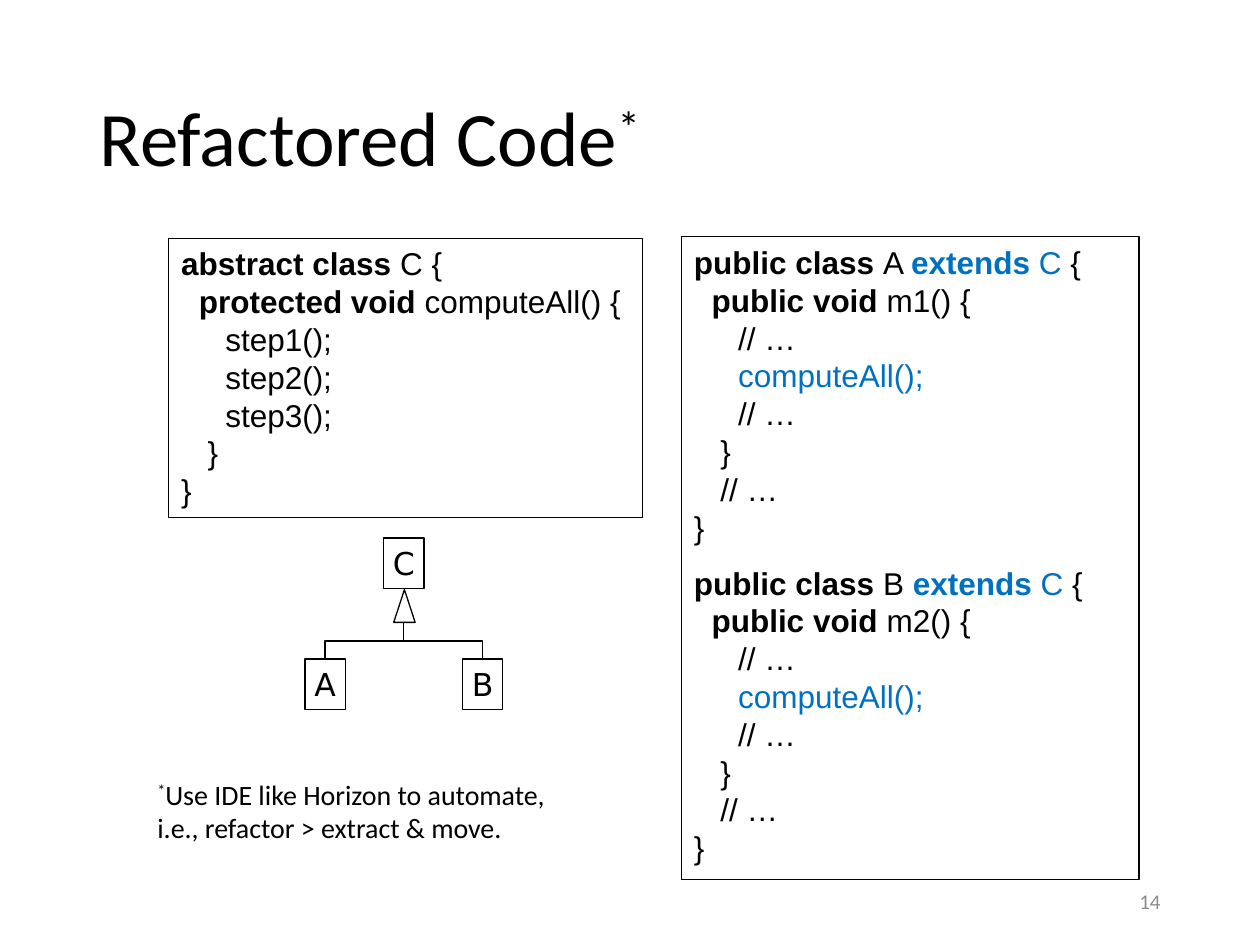
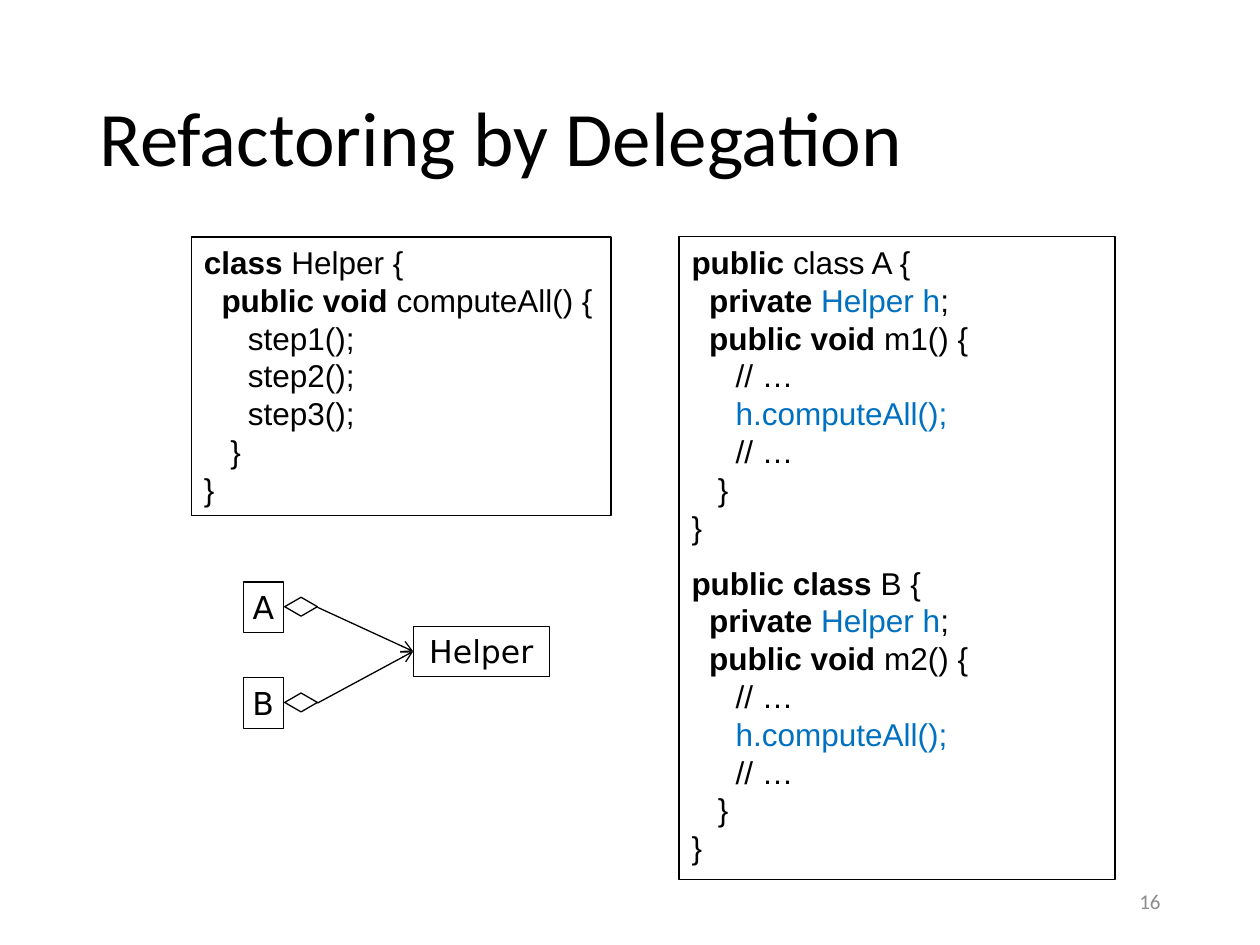
from dataclasses import dataclass

from lxml import etree
from pptx import Presentation
from pptx.dml.color import RGBColor
from pptx.enum.shapes import MSO_CONNECTOR, MSO_SHAPE
from pptx.enum.text import MSO_ANCHOR, MSO_AUTO_SIZE, PP_ALIGN
from pptx.oxml.ns import qn
from pptx.util import Inches, Pt

RECTANGLE = MSO_SHAPE.RECTANGLE
TRIANGLE = MSO_SHAPE.ISOSCELES_TRIANGLE
DIAMOND = MSO_SHAPE.DIAMOND
STRAIGHT = MSO_CONNECTOR.STRAIGHT
ELBOW = MSO_CONNECTOR.ELBOW
LEFT, CENTER, RIGHT = PP_ALIGN.LEFT, PP_ALIGN.CENTER, PP_ALIGN.RIGHT
TOP, MIDDLE = MSO_ANCHOR.TOP, MSO_ANCHOR.MIDDLE
NO_AUTOFIT = MSO_AUTO_SIZE.NONE
TITLE_ONLY = 5


@dataclass(frozen=True)
class Theme:
    """Hold the colours, type styles and line width of the deck."""
    ink = RGBColor(0, 0, 0)
    accent = RGBColor(0x00, 0x70, 0xC0)
    muted = RGBColor(0x8C, 0x8C, 0x8C)
    title = {"name": "Calibri", "size": Pt(44), "bold": False}
    code = {"name": "Arial", "size": Pt(18), "bold": False}
    label = {"name": "DejaVu Sans", "size": Pt(18), "bold": False}
    note = {"name": "Calibri", "size": Pt(16), "bold": False}
    number = {"name": "Calibri", "size": Pt(12), "bold": False}
    line_width = Pt(0.75)
    code_space = 0.07
    class_gap = Pt(10.35)
    superscript = "30000"


THEME = Theme()
TITLE_BOX = (0.69, 0.4, 8.62, 1.45)
NUMBER_BOX = (7.06, 6.95, 2.25, 0.4)
CLASS_WIDTH, CLASS_HEIGHT = 0.32, 0.4


def inches(*lengths):
    """Convert several lengths to inches."""
    return [Inches(length) for length in lengths]


def add_run(paragraph, text, style, color=THEME.ink, **changes):
    """Add a run in a type style, with optional changes to it."""
    run = paragraph.add_run()
    run.text = text
    for name, value in {**style, **changes}.items():
        setattr(run.font, name, value)
    run.font.color.rgb = color
    return run


def add_superscript(paragraph, text, style):
    """Add a raised run."""
    run = add_run(paragraph, text, style)
    run.font._element.set("baseline", THEME.superscript)


def format_frame(frame, **changes):
    """Set the wrapping and anchoring of a text frame."""
    values = {"word_wrap": True, "auto_size": NO_AUTOFIT, "vertical_anchor": TOP}
    for name, value in {**values, **changes}.items():
        setattr(frame, name, value)
    return frame


def add_outline(shapes, kind, box):
    """Add an unfilled preset shape with the thin outline."""
    shape = shapes.add_shape(kind, *inches(*box))
    shape.shadow.inherit = False
    shape.fill.background()
    shape.line.color.rgb = THEME.ink
    shape.line.width = THEME.line_width
    return shape


def add_line(shapes, kind, start, end, arrow=False):
    """Add a thin connector, with an open arrowhead if asked."""
    connector = shapes.add_connector(kind, *inches(*start, *end))
    connector.line.color.rgb = THEME.ink
    connector.line.width = THEME.line_width
    properties = connector._element.spPr
    if arrow:
        etree.SubElement(properties.find(qn("a:ln")), qn("a:tailEnd"), type="arrow")
    etree.SubElement(properties, qn("a:effectLst"))
    return connector


def add_bracket(shapes, left, right, bottom, depth):
    """Join two points on one level by a bracket that rises above them."""
    middle, half, drift = (left + right) / 2, (right - left) / 2, 0.01
    connector = add_line(shapes, ELBOW, (middle + drift / 2, bottom + half),
                         (middle - drift / 2, bottom - half))
    properties = connector._element.spPr
    properties.find(qn("a:xfrm")).set("rot", str(90 * 60000))
    adjustments = properties.find(qn("a:prstGeom")).get_or_add_avLst()
    etree.SubElement(adjustments, qn("a:gd"), name="adj1",
                     fmla=f"val {round(depth / drift * 100000)}")


def plain(text):
    """Describe plain code."""
    return text, THEME.ink, False


def keyword(text):
    """Describe a bold keyword."""
    return text, THEME.ink, True


def accent(text, bold=False):
    """Describe highlighted code."""
    return text, THEME.accent, bold


def class_code(header, members):
    """Return the lines of a class as pairs of indent and parts."""
    return [(0, header), *members, (0, [plain("}")])]


def method_code(modifiers, name, body):
    """Return the lines of a method as pairs of indent and parts."""
    return [(2, [keyword(modifiers + " "), plain(name + "() {")]),
            *[(5, [part]) for part in body], (3, [plain("}")])]


def step_method(modifiers):
    """Return the shared method that runs the three steps."""
    return method_code(modifiers, "computeAll",
                       [plain(f"step{number}();") for number in (1, 2, 3)])


def caller_method(name, call):
    """Return a method with one highlighted call between comments."""
    return method_code("public void", name, [plain("// …"), accent(call), plain("// …")])


def add_code(slide, box, classes):
    """Fill an outlined box with the code of one or more classes."""
    shape = add_outline(slide.shapes, RECTANGLE, box)
    frame = format_frame(shape.text_frame)
    paragraph = frame.paragraphs[0]
    lines = [(index, row, line) for index, code in enumerate(classes)
             for row, line in enumerate(code)]
    for position, (index, row, (indent, parts)) in enumerate(lines):
        if position:
            paragraph = frame.add_paragraph()
        paragraph.alignment = LEFT
        if index and row == 0:
            paragraph.space_before = THEME.class_gap
        properties = paragraph._element.get_or_add_pPr()
        properties.set("marL", str(Inches(indent * THEME.code_space)))
        properties.set("indent", "0")
        for text, color, bold in parts:
            add_run(paragraph, text, THEME.code, color, bold=bold)


def add_class_box(shapes, left, top, name, width=CLASS_WIDTH):
    """Add a diagram box that names a class."""
    shape = add_outline(shapes, RECTANGLE, (left, top, width, CLASS_HEIGHT))
    frame = format_frame(shape.text_frame, word_wrap=False)
    paragraph = frame.paragraphs[0]
    paragraph.alignment = CENTER
    add_run(paragraph, name, THEME.label)


def add_inheritance(slide, left, top):
    """Draw classes A and B below their parent C."""
    shapes = slide.shapes.add_group_shape().shapes
    spread, child_top = 1.25, top + 0.96
    first = left + CLASS_WIDTH / 2
    middle = first + spread / 2
    add_class_box(shapes, middle - CLASS_WIDTH / 2, top, "C")
    for index, name in enumerate("AB"):
        add_class_box(shapes, left + index * spread, child_top, name)
    add_outline(shapes, TRIANGLE, (middle - 0.08, top + 0.41, 0.17, 0.26))
    add_line(shapes, STRAIGHT, (middle, top + 0.67), (middle, top + 0.81))
    add_bracket(shapes, first, first + spread, child_top, 0.15)


def add_delegation(slide, left, top):
    """Draw classes A and B that each hold a Helper."""
    shapes = slide.shapes
    target = (left + 1.35, top + 0.55)
    add_class_box(shapes, target[0], top + 0.35, "Helper", 1.08)
    for index, name in enumerate("AB"):
        row = top + index * 0.76
        hub = row + 0.2
        add_class_box(shapes, left, row, name)
        add_line(shapes, STRAIGHT, (left + 0.59, hub), target, arrow=True)
        add_outline(shapes, DIAMOND, (left + 0.33, hub - 0.08, 0.26, 0.15))


def add_note(slide, box, lines):
    """Add a footnote that opens with a raised asterisk."""
    frame = format_frame(slide.shapes.add_textbox(*inches(*box)).text_frame)
    paragraph = frame.paragraphs[0]
    add_superscript(paragraph, "*", THEME.note)
    add_run(paragraph, lines[0], THEME.note)
    for line in lines[1:]:
        add_run(frame.add_paragraph(), line, THEME.note)


def add_titled_slide(presentation, title, number, starred=False):
    """Add a slide with its title and page number."""
    slide = presentation.slides.add_slide(presentation.slide_layouts[TITLE_ONLY])
    placeholder = slide.shapes.title
    for name, length in zip(("left", "top", "width", "height"), TITLE_BOX):
        setattr(placeholder, name, Inches(length))
    frame = format_frame(placeholder.text_frame, vertical_anchor=MIDDLE)
    paragraph = frame.paragraphs[0]
    paragraph.alignment, paragraph.line_spacing = LEFT, 0.9
    add_run(paragraph, title, THEME.title)
    if starred:
        add_superscript(paragraph, "*", THEME.title)
    number_box = slide.shapes.add_textbox(*inches(*NUMBER_BOX))
    frame = format_frame(number_box.text_frame, vertical_anchor=MIDDLE)
    frame.paragraphs[0].alignment = RIGHT
    add_run(frame.paragraphs[0], str(number), THEME.number, THEME.muted)
    return slide


def build_inheritance_slide(presentation):
    """Build the slide that moves the steps to a parent class."""
    slide = add_titled_slide(presentation, "Refactored Code", 14, starred=True)
    parent = class_code([keyword("abstract class "), plain("C {")],
                        step_method("protected void"))
    children = [
        class_code([keyword("public class "), plain(name + " "),
                    accent("extends", True), accent(" C"), plain(" {")],
                   [*caller_method(method, "computeAll();"), (3, [plain("// …")])])
        for name, method in (("A", "m1"), ("B", "m2"))]
    add_code(slide, (1.34, 1.89, 3.76, 2.22), [parent])
    add_code(slide, (5.41, 1.88, 3.63, 5.1), children)
    add_inheritance(slide, 2.42, 4.27)
    add_note(slide, (1.15, 6.12, 4.12, 0.64),
             ["Use IDE like Horizon to automate,", "i.e., refactor > extract & move."])


def build_delegation_slide(presentation):
    """Build the slide that moves the steps to a helper class."""
    slide = add_titled_slide(presentation, "Refactoring by Delegation", 16)
    helper = class_code([keyword("class"), plain(" Helper {")],
                        step_method("public void"))
    field = (2, [keyword("private "), accent("Helper h"), plain(";")])
    headers = ([keyword("public"), plain(" class A {")],
               [keyword("public class "), plain("B {")])
    owners = [class_code(header, [field, *caller_method(method, "h.computeAll();")])
              for header, method in zip(headers, ("m1", "m2"))]
    add_code(slide, (1.52, 1.88, 3.33, 2.21), [helper])
    add_code(slide, (5.39, 1.88, 3.46, 5.1), owners)
    add_delegation(slide, 1.93, 4.62)


def main():
    """Build and save the presentation."""
    presentation = Presentation()
    presentation.slide_width, presentation.slide_height = inches(10, 7.5)
    build_inheritance_slide(presentation)
    build_delegation_slide(presentation)
    presentation.save("out.pptx")


main()
